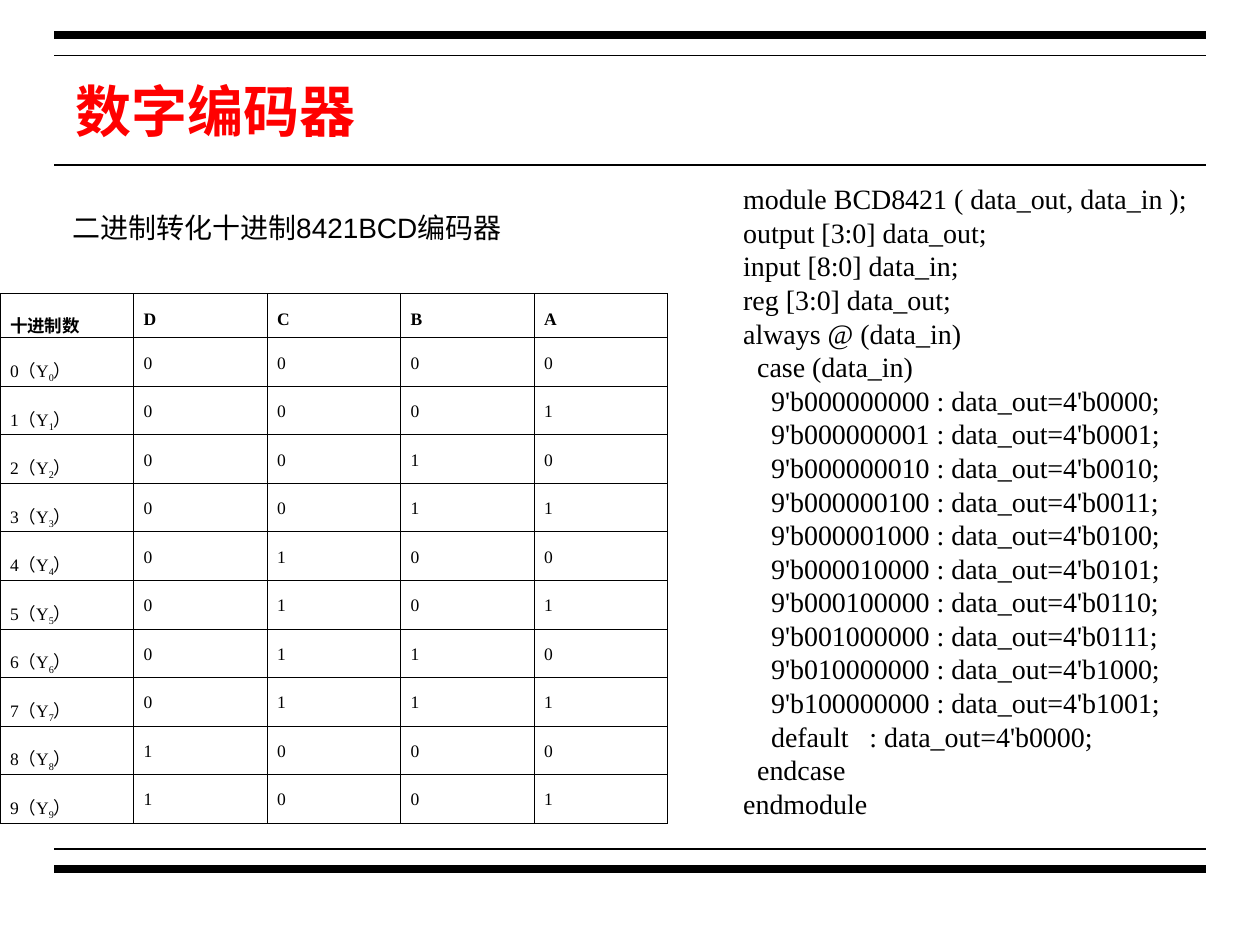
from dataclasses import dataclass

from lxml.etree import SubElement
from pptx import Presentation
from pptx.dml.color import RGBColor
from pptx.enum.shapes import MSO_CONNECTOR
from pptx.enum.text import MSO_ANCHOR, MSO_AUTO_SIZE, PP_ALIGN
from pptx.oxml.ns import qn
from pptx.util import Inches, Pt

BLACK, RED = "000000", "FF0000"
CJK, SANS, SERIF = "Noto Sans CJK JP", "Arial", "Times New Roman"


@dataclass(frozen=True)
class Rule:
    """A horizontal line across the page."""
    top: float
    weight: float


@dataclass(frozen=True)
class TextBlock:
    left: float
    top: float
    width: float
    height: float
    lines: tuple[str, ...]
    font: str
    anchor: MSO_ANCHOR


RULES = (Rule(0.28, 4.5), Rule(0.44, 1), Rule(1.31, 1), Rule(6.74, 1), Rule(6.9, 4.5))
CASES = tuple(f"    9'b{(1 << n) >> 1:09b} : data_out=4'b{n:04b};" for n in range(10))
CODE = (
    "module BCD8421 ( data_out, data_in );",
    "output [3:0] data_out;",
    "input [8:0] data_in;",
    "reg [3:0] data_out;",
    "always @ (data_in)",
    "  case (data_in)",
    *CASES,
    "    default   : data_out=4'b0000;",
    "  endcase",
    "endmodule",
)
BLOCKS = (
    TextBlock(0.48, 1.62, 3.7, 0.37, ("二进制转化十进制8421BCD编码器",), SANS, MSO_ANCHOR.TOP),
    TextBlock(5.8, 1.39, 3.72, 5.17, CODE, SERIF, MSO_ANCHOR.MIDDLE),
)


def color(value: str) -> RGBColor:
    return RGBColor.from_string(value)


def apply(target, formats: dict) -> None:
    for name, value in formats.items():
        setattr(target, name, value)


def add_span(para, text: str, size: float, font: str, ink: str = BLACK,
             bold: bool = False, baseline: int = 0) -> None:
    span = para.add_run()
    span.text = text
    apply(span.font, {"size": Pt(size), "name": font, "bold": bold})
    span.font.color.rgb = color(ink)
    properties = span._r.get_or_add_rPr()
    SubElement(properties, qn("a:ea"), typeface=CJK)
    if baseline:
        properties.set("baseline", str(baseline))


def add_rule(page, rule: Rule) -> None:
    line = page.shapes.add_connector(
        MSO_CONNECTOR.STRAIGHT, Inches(0.43), Inches(rule.top), Inches(9.57), Inches(rule.top))
    line.line.color.rgb = color(BLACK)
    line.line.width = Pt(rule.weight)
    SubElement(line._element.spPr, qn("a:effectLst"))


def format_title(page) -> None:
    title = page.shapes.title
    apply(title, {"left": Inches(0.5), "top": Inches(0.44),
                  "width": Inches(9), "height": Inches(0.87)})
    title.text_frame.vertical_anchor = MSO_ANCHOR.MIDDLE
    para = title.text_frame.paragraphs[0]
    para.alignment = PP_ALIGN.LEFT
    add_span(para, "数字编码器", 32, CJK, RED, bold=True)


def add_block(page, block: TextBlock) -> None:
    box = page.shapes.add_textbox(
        Inches(block.left), Inches(block.top), Inches(block.width), Inches(block.height))
    frame = box.text_frame
    apply(frame, {"word_wrap": False, "auto_size": MSO_AUTO_SIZE.SHAPE_TO_FIT_TEXT,
                  "vertical_anchor": block.anchor})
    for index, line in enumerate(block.lines):
        para = frame.add_paragraph() if index else frame.paragraphs[0]
        add_span(para, line, 16, block.font)


def add_borders(cell) -> None:
    properties = cell._tc.get_or_add_tcPr()
    for position, side in enumerate(("lnL", "lnR", "lnT", "lnB")):
        border = SubElement(properties, qn(f"a:{side}"), w=str(Pt(0.45)))
        fill = SubElement(border, qn("a:solidFill"))
        SubElement(fill, qn("a:srgbClr"), val=BLACK)
        properties.insert(position, border)


def format_cell(cell):
    """Style an empty cell and return its paragraph."""
    apply(cell, {"margin_left": Inches(0.08), "margin_right": Inches(0.08),
                 "margin_top": Inches(0.05), "margin_bottom": Inches(0.05)})
    cell.fill.background()
    add_borders(cell)
    para = cell.text_frame.paragraphs[0]
    apply(para, {"alignment": PP_ALIGN.JUSTIFY, "line_spacing": 1.5})
    return para


def add_truth_table(page) -> None:
    table = page.shapes.add_table(
        11, 5, Inches(0), Inches(2.33), Inches(5.31), Inches(3.15)).table
    apply(table, {"first_row": False, "horz_banding": False})
    for column in table.columns:
        column.width = Inches(1.06)
    for index, row in enumerate(table.rows):
        row.height = Inches(0.29 if index else 0.25)

    for column, heading in enumerate(("十进制数", *"DCBA")):
        add_span(format_cell(table.cell(0, column)), heading, 10, SERIF, bold=True)
    for number in range(10):
        label = format_cell(table.cell(number + 1, 0))
        add_span(label, f"{number}（Y", 10, SERIF)
        add_span(label, str(number), 10, SERIF, baseline=-25000)
        add_span(label, "）", 10, SERIF)
        for column, bit in enumerate(f"{number:04b}", start=1):
            add_span(format_cell(table.cell(number + 1, column)), bit, 10, SERIF)


def main() -> None:
    deck = Presentation()
    apply(deck, {"slide_width": Inches(10), "slide_height": Inches(7.5)})
    page = deck.slides.add_slide(deck.slide_layouts[5])
    for rule in RULES:
        add_rule(page, rule)
    format_title(page)
    heading, code = BLOCKS
    add_block(page, heading)
    add_truth_table(page)
    add_block(page, code)
    deck.save("out.pptx")


if __name__ == "__main__":
    main()
